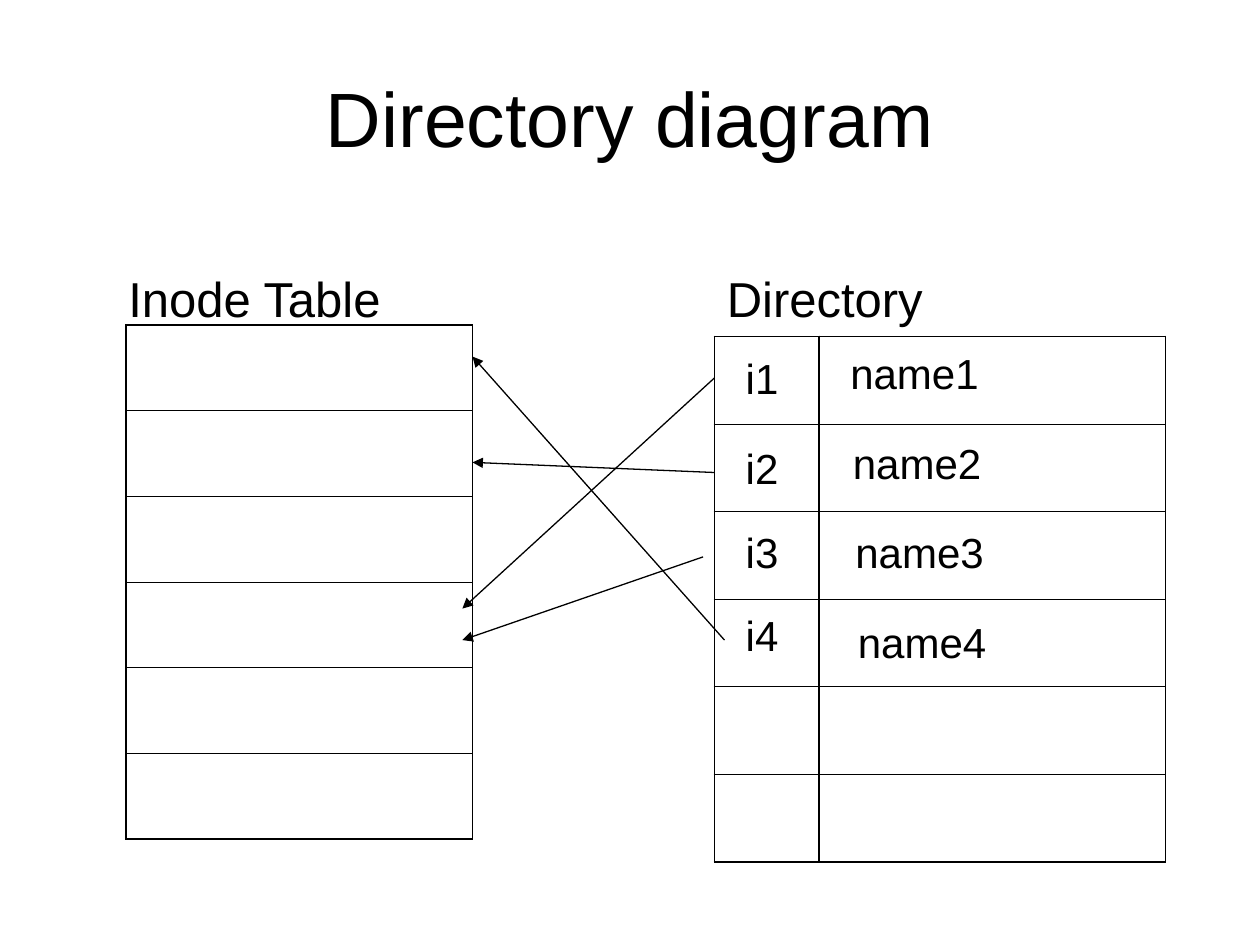
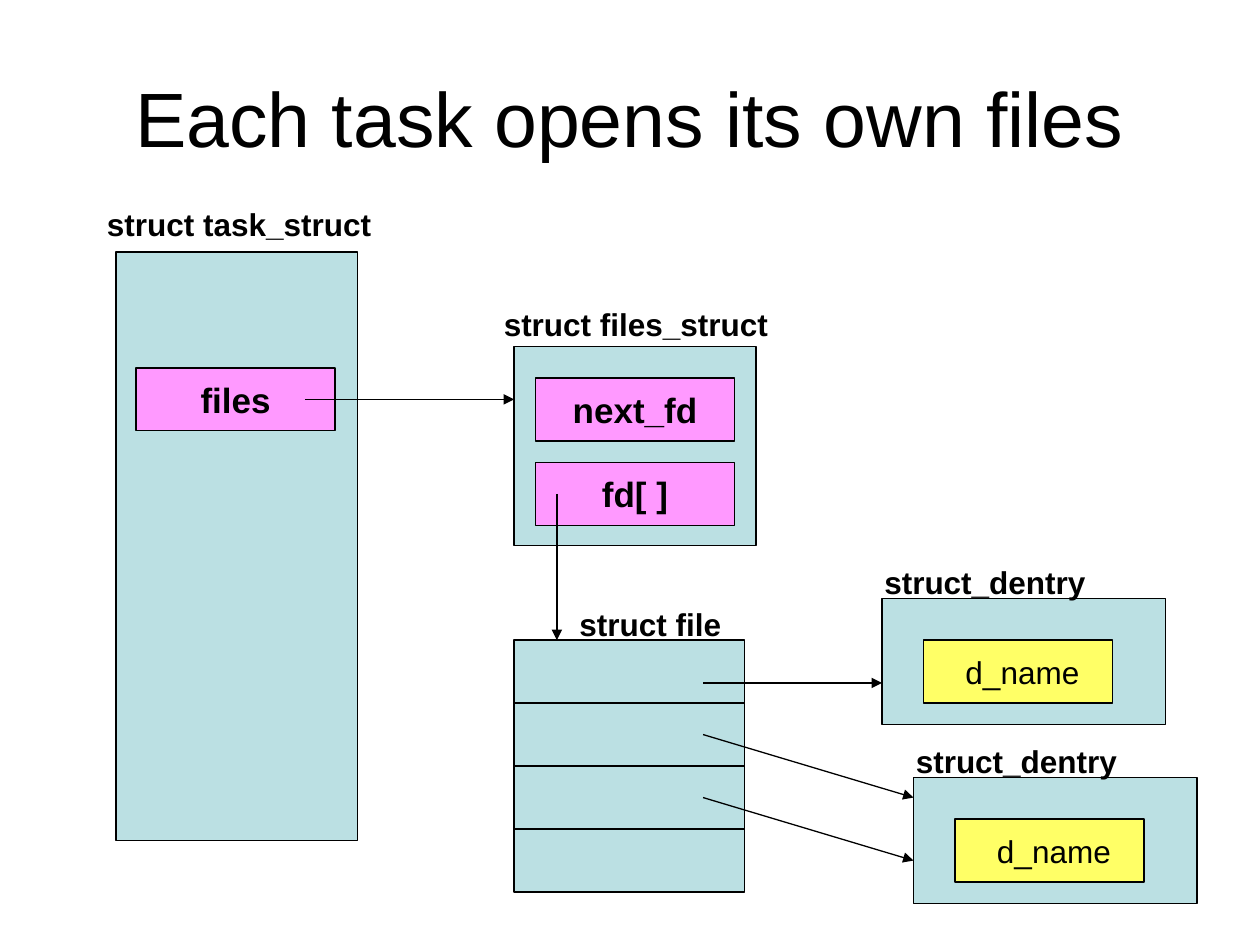
from dataclasses import dataclass

from lxml.etree import SubElement
from pptx import Presentation
from pptx.dml.color import RGBColor
from pptx.enum.shapes import MSO_CONNECTOR, MSO_SHAPE
from pptx.enum.text import MSO_ANCHOR, PP_ALIGN
from pptx.oxml.ns import qn
from pptx.slide import Slide
from pptx.text.text import TextFrame
from pptx.util import Inches, Pt


@dataclass(frozen=True)
class Theme:
    font: str = "Arial"
    ink: RGBColor = RGBColor(0x00, 0x00, 0x00)
    struct: RGBColor = RGBColor(0xBB, 0xE0, 0xE3)
    field: RGBColor = RGBColor(0xFF, 0x99, 0xFF)
    entry: RGBColor = RGBColor(0xFF, 0xFF, 0x66)
    title: int = 44
    heading: int = 28
    cell: int = 24
    member: int = 20
    label: int = 18
    line: float = 0.75
    outer_border: float = 1.08
    inner_border: float = 0.45


THEME = Theme()


@dataclass(frozen=True)
class Label:
    text: str
    x: float
    y: float
    w: float
    h: float
    size: int = THEME.label
    bold: bool = False
    centered: bool = False


@dataclass(frozen=True)
class Box:
    x: float
    y: float
    w: float
    h: float
    fill: RGBColor = THEME.struct
    text: str = ""
    size: int = THEME.label
    bold: bool = False


@dataclass(frozen=True)
class Grid:
    x: float
    y: float
    w: float
    h: float
    rows: int = 6


@dataclass(frozen=True)
class Arrow:
    x1: float
    y1: float
    x2: float
    y2: float


def write_text(tf: TextFrame, text: str, size: int, bold: bool, centered: bool) -> None:
    frame_format = {
        "word_wrap": False,
        "vertical_anchor": MSO_ANCHOR.MIDDLE if centered else MSO_ANCHOR.TOP,
    }
    for name, value in frame_format.items():
        setattr(tf, name, value)
    p = tf.paragraphs[0]
    p.alignment = PP_ALIGN.CENTER if centered else PP_ALIGN.LEFT
    r = p.add_run()
    r.text = text
    for name, value in {"name": THEME.font, "size": Pt(size), "bold": bold}.items():
        setattr(r.font, name, value)
    r.font.color.rgb = THEME.ink


def add_label(s: Slide, label: Label) -> None:
    sp = s.shapes.add_textbox(*map(Inches, (label.x, label.y, label.w, label.h)))
    write_text(sp.text_frame, label.text, label.size, label.bold, label.centered)


def add_box(s: Slide, box: Box) -> None:
    sp = s.shapes.add_shape(
        MSO_SHAPE.RECTANGLE, *map(Inches, (box.x, box.y, box.w, box.h))
    )
    sp.shadow.inherit = False
    sp.fill.solid()
    sp.fill.fore_color.rgb = box.fill
    sp.line.color.rgb = THEME.ink
    sp.line.width = Pt(THEME.line)
    if box.text:
        write_text(sp.text_frame, box.text, box.size, box.bold, True)


def add_arrow(s: Slide, arrow: Arrow) -> None:
    ends = map(Inches, (arrow.x1, arrow.y1, arrow.x2, arrow.y2))
    cx = s.shapes.add_connector(MSO_CONNECTOR.STRAIGHT, *ends)
    cx.line.color.rgb = THEME.ink
    cx.line.width = Pt(THEME.line)
    SubElement(cx.line._get_or_add_ln(), qn("a:tailEnd"), type="triangle")
    SubElement(cx._element.spPr, qn("a:effectLst"))


def add_grid(s: Slide, grid: Grid) -> None:
    frame = s.shapes.add_table(
        grid.rows, 1, *map(Inches, (grid.x, grid.y, grid.w, grid.h))
    )
    table = frame.table
    table.first_row = table.horz_banding = False
    for i, row in enumerate(table.rows):
        row.height = Inches(grid.h / grid.rows)
        cell = row.cells[0]
        tc_pr = cell._tc.get_or_add_tcPr()
        borders = {
            "a:lnL": THEME.outer_border,
            "a:lnR": THEME.outer_border,
            "a:lnT": THEME.outer_border if i == 0 else THEME.inner_border,
            "a:lnB": THEME.outer_border if i == grid.rows - 1 else THEME.inner_border,
        }
        for tag, width in borders.items():
            ln = SubElement(tc_pr, qn(tag), w=str(Pt(width)))
            fill = SubElement(ln, qn("a:solidFill"))
            SubElement(fill, qn("a:srgbClr"), val=str(THEME.ink))
        cell.fill.background()


DRAW = {Label: add_label, Box: add_box, Arrow: add_arrow, Grid: add_grid}


def add_slide(prs: Presentation, title: str, items: list) -> None:
    s = prs.slides.add_slide(prs.slide_layouts[6])
    add_label(s, Label(title, 0.5, 0.3, 9, 1.25, THEME.title, centered=True))
    for item in items:
        DRAW[type(item)](s, item)


def directory_items() -> list:
    inode_tops = (2.75, 3.46, 4.13, 4.79)
    return [
        Grid(1, 2.58, 2.75, 4.08),
        Label("Inode Table", 0.92, 2.08, 2.25, 0.57, THEME.heading),
        Grid(5.67, 2.67, 0.83, 4.17),
        Grid(6.5, 2.67, 2.75, 4.17),
        Label("Directory", 5.67, 2.08, 1.75, 0.57, THEME.heading),
        *(
            Label(f"i{n}", 5.82, top, 0.46, 0.5, THEME.cell)
            for n, top in enumerate(inode_tops, 1)
        ),
        *(
            Label(f"name{i + 1}", 6.65 + i * 0.02, 2.71 + i * 0.71, 1.22, 0.5, THEME.cell)
            for i in range(4)
        ),
        Arrow(5.75, 5.08, 3.75, 2.83),
        Arrow(5.58, 4.42, 3.67, 5.08),
        Arrow(5.67, 3.75, 3.75, 3.67),
        Arrow(5.67, 3, 3.67, 4.83),
    ]


def member(text: str, x: float, y: float) -> Box:
    return Box(x, y, 1.58, 0.5, THEME.field, text, THEME.member, True)


def heading(text: str, x: float, y: float, w: float) -> Label:
    return Label(text, x, y, w, 0.4, bold=True)


def dentry(x: float, y: float) -> list:
    return [
        Box(x, y, 2.25, 1),
        heading("struct_dentry", x - 0.08, y - 0.33, 1.8),
        Box(x + 0.33, y + 0.33, 1.5, 0.5, THEME.entry, " d_name"),
    ]


def task_items() -> list:
    return [
        Box(0.92, 2, 1.92, 4.67),
        heading("struct task_struct", 0.75, 1.58, 2.3),
        member("files", 1.08, 2.92),
        Box(4.08, 2.75, 1.92, 1.58),
        heading("struct files_struct", 3.9, 2.37, 2.3),
        member("next_fd", 4.25, 3),
        member("fd[ ]", 4.25, 3.67),
        *(Box(4.08, 5.08 + i * 0.5, 1.83, 0.5) for i in range(4)),
        heading("struct file", 4.5, 4.75, 1.39),
        *dentry(7, 4.75),
        *dentry(7.25, 6.17),
        Arrow(2.42, 3.17, 4.08, 3.17),
        Arrow(5.58, 5.42, 7, 5.42),
        Arrow(5.58, 5.83, 7.25, 6.33),
        Arrow(5.58, 6.33, 7.25, 6.83),
        Arrow(4.42, 3.92, 4.42, 5.08),
    ]


def main() -> None:
    prs = Presentation()
    prs.slide_width, prs.slide_height = Inches(10), Inches(7.5)
    add_slide(prs, "Directory diagram", directory_items())
    add_slide(prs, "Each task opens its own files", task_items())
    prs.save("out.pptx")


if __name__ == "__main__":
    main()
